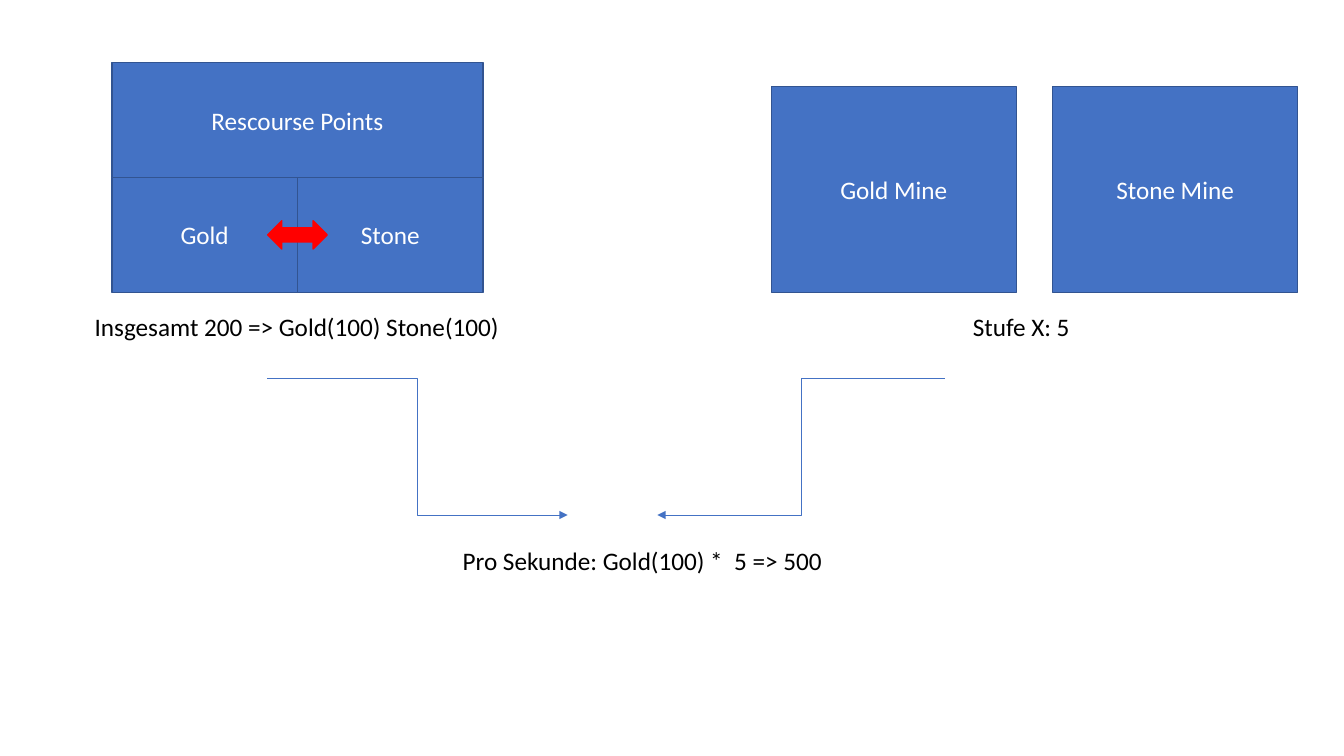
from lxml.etree import SubElement
from pptx import Presentation
from pptx.dml.color import RGBColor
from pptx.enum.shapes import MSO_CONNECTOR as Connector, MSO_SHAPE as Shape
from pptx.enum.text import MSO_ANCHOR as Anchor, PP_ALIGN as Align
from pptx.oxml.ns import qn
from pptx.util import Inches, Pt

COLORS = {"box": "4472C4", "edge": "325491", "swap": "FF0000",
          "light": "FFFFFF", "dark": "000000"}


def color(name):
    """Return the named colour."""
    return RGBColor.from_string(COLORS[name])


def write(frame, words, ink):
    """Put one line of text into a frame."""
    frame.word_wrap = True
    line = frame.paragraphs[0]
    line.text = words
    line.font.name, line.font.size = "Calibri", Pt(18)
    line.font.color.rgb = color(ink)
    return line


def add_block(slide, kind, box, fill="box", edge="edge", words=""):
    """Add a filled shape, with a centred label if it has words."""
    block = slide.shapes.add_shape(kind, *map(Inches, box))
    block.shadow.inherit = False
    block.fill.solid()
    block.fill.fore_color.rgb = color(fill)
    block.line.color.rgb = color(edge)
    block.line.width = Pt(1)
    if words:
        block.text_frame.vertical_anchor = Anchor.MIDDLE
        write(block.text_frame, words, "light").alignment = Align.CENTER


def add_caption(slide, left, top, width, words):
    """Add a line of dark text."""
    caption = slide.shapes.add_textbox(*map(Inches, (left, top, width, 0.4)))
    write(caption.text_frame, words, "dark")


def add_flow(slide, start, end):
    """Add an elbow arrow from start to end."""
    flow = slide.shapes.add_connector(Connector.ELBOW, *map(Inches, start + end))
    flow.line.color.rgb = color("box")
    flow.line.width = Pt(0.5)
    SubElement(flow.line._get_or_add_ln(), qn("a:tailEnd"), type="triangle")
    SubElement(flow._element.spPr, qn("a:effectLst"))


def add_resources(slide, left, top, width, height):
    """Draw the resource pool: a header over two halves that exchange points."""
    half, row = width / 2, height / 2
    add_block(slide, Shape.RECTANGLE, (left, top, width, row), words="Rescourse Points")
    for column, resource in enumerate(("Gold", "Stone")):
        add_block(slide, Shape.RECTANGLE,
                  (left + column * half, top + row, half, row), words=resource)
    swap_width, swap_height = 0.59, 0.28
    add_block(slide, Shape.LEFT_RIGHT_ARROW,
              (left + half - swap_width / 2, top + 1.5 * row - swap_height / 2,
               swap_width, swap_height), "swap", "swap")
    add_caption(slide, left - 0.27, top + height + 0.14, 4.31,
                "Insgesamt 200 => Gold(100) Stone(100)")


def add_mines(slide, left, top, width, height):
    """Draw the two mines side by side, with their level below."""
    gap = 0.36
    mine_width = (width - gap) / 2
    for column, mine in enumerate(("Gold Mine", "Stone Mine")):
        add_block(slide, Shape.RECTANGLE,
                  (left + column * (mine_width + gap), top, mine_width, height),
                  words=mine)
    add_caption(slide, left + 1.9, top + height + 0.14, 3.31, "Stufe X: 5")


def add_yield(slide, left, top, width, height):
    """Lead both sides down to the yield per second."""
    bottom = top + height
    add_flow(slide, (left, top), (left + 2.98, bottom))
    add_flow(slide, (left + width, top), (left + width - 2.85, bottom))
    add_caption(slide, left + 1.84, bottom + 0.25, 4.31,
                "Pro Sekunde: Gold(100) *  5 => 500")


deck = Presentation()
deck.slide_width, deck.slide_height = Inches(13.33), Inches(7.5)
slide = deck.slides.add_slide(deck.slide_layouts[6])
add_resources(slide, 1.11, 0.62, 3.68, 2.28)
add_mines(slide, 7.65, 0.86, 5.22, 2.04)
add_yield(slide, 2.65, 3.75, 6.72, 1.36)
deck.save("out.pptx")
